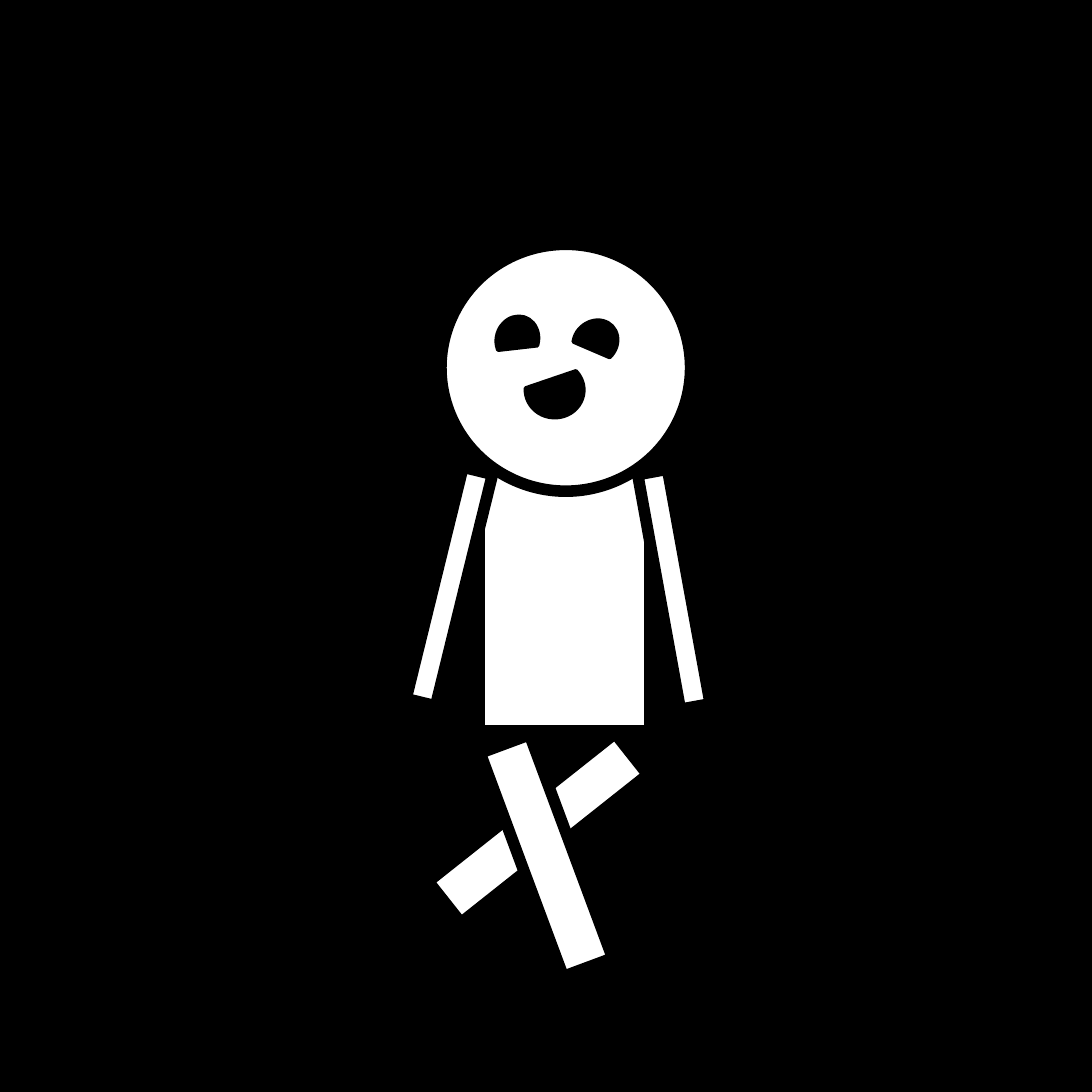
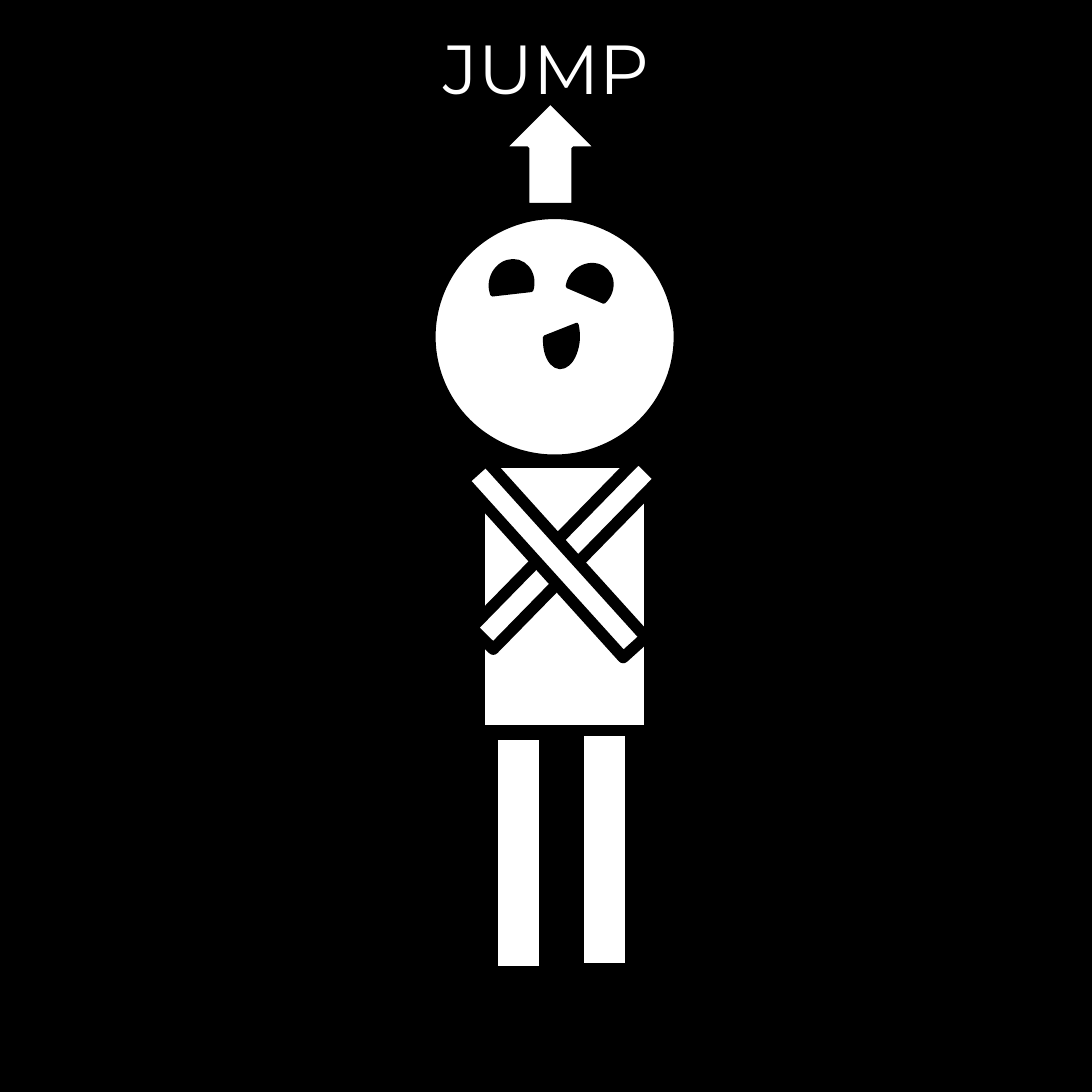
"""Build two slides of a stick figure: standing with crossed legs, then jumping."""
from dataclasses import dataclass

from pptx import Presentation
from pptx.dml.color import RGBColor
from pptx.enum.shapes import MSO_SHAPE
from pptx.enum.text import MSO_AUTO_SIZE
from pptx.slide import Slide
from pptx.util import Pt

RECT = MSO_SHAPE.RECTANGLE
OVAL = MSO_SHAPE.OVAL
CHORD = MSO_SHAPE.CHORD
UP_ARROW = MSO_SHAPE.UP_ARROW
FIT_SHAPE = MSO_AUTO_SIZE.SHAPE_TO_FIT_TEXT

COLORS = {"ink": "000000", "figure": "FFFFFF"}
SIDE = 283.46
LABEL_FORMAT = {
    "name": "Montserrat",
    "size": Pt(18),
}


@dataclass(frozen=True)
class Kind:
    """Look and size shared by parts of one kind."""
    shape: MSO_SHAPE
    width: float
    height: float
    line: float = 1
    fill: str = "figure"


@dataclass(frozen=True)
class Part:
    """One placed part of the figure."""
    kind: Kind
    left: float
    top: float
    rotation: float = 0


BODY = Kind(RECT, 42.5, 67.7)
HEAD = Kind(OVAL, 64.8, 64.1, line=3)
ARM = Kind(RECT, 61.9, 7.9, line=3)
LEG = Kind(RECT, 61.9, 13.7, line=3)
EYE = Kind(CHORD, 12.2, 10.8, fill="ink")
OPEN_MOUTH = Kind(CHORD, 14.4, 15.1, fill="ink")
NARROW_MOUTH = Kind(CHORD, 15.1, 8.6, fill="ink")
ARROW = Kind(UP_ARROW, 23.8, 26.6)

TORSO = Part(BODY, 125.3, 121)
MOUTH_TURN = 273.4


def eyes(left: float, top: float) -> list[Part]:
    """Return a pair of eyes, placed by the left one."""
    return [Part(EYE, left, top, 106.7), Part(EYE, left + 20.2, top + 0.7, 136.4)]


STANDING = [
    TORSO,
    Part(HEAD, 114.5, 63.4),
    *eyes(128.2, 82.8),
    Part(OPEN_MOUTH, 136.8, 93.6, MOUTH_TURN),
    Part(ARM, 85.7, 148.3, 283.8),
    Part(ARM, 144, 149, 259.7),
    Part(LEG, 108.7, 208.1, 141.6),
    Part(LEG, 110.9, 215.3, 69.6),
]
JUMPING = [
    Part(HEAD, 111.6, 55.4),
    TORSO,
    Part(ARM, 115.9, 139.7, 134.4),
    Part(LEG, 126, 213.8, 90),
    Part(LEG, 103.7, 214.6, 90),
    Part(ARM, 113, 141.1, 227.9),
    Part(ARROW, 131, 26.6),
    *eyes(126.7, 68.4),
    Part(NARROW_MOUTH, 138.2, 83.5, MOUTH_TURN),
]


def rgb(name: str) -> RGBColor:
    """Return a named colour."""
    return RGBColor.from_string(COLORS[name])


def draw_part(s: Slide, part: Part) -> None:
    """Draw one part of the figure."""
    kind = part.kind
    sp = s.shapes.add_shape(
        kind.shape, Pt(part.left), Pt(part.top), Pt(kind.width), Pt(kind.height)
    )
    sp.rotation = part.rotation
    sp.shadow.inherit = False
    sp.fill.solid()
    sp.fill.fore_color.rgb = rgb(kind.fill)
    sp.line.color.rgb = rgb("ink")
    sp.line.width = Pt(kind.line)


def add_figure(prs: Presentation, parts: list[Part]) -> Slide:
    """Add a dark slide with a figure made of the given parts."""
    s = prs.slides.add_slide(prs.slide_layouts[6])
    s.background.fill.solid()
    s.background.fill.fore_color.rgb = rgb("ink")
    for part in parts:
        draw_part(s, part)
    return s


def add_label(s: Slide, text: str) -> None:
    """Write the name of the move above the arrow."""
    tf = s.shapes.add_textbox(Pt(108), Pt(2.9), Pt(71.3), Pt(28.8)).text_frame
    tf.word_wrap = False
    tf.auto_size = FIT_SHAPE
    r = tf.paragraphs[0].add_run()
    r.text = text
    for key, value in LABEL_FORMAT.items():
        setattr(r.font, key, value)
    r.font.color.rgb = rgb("figure")


def main() -> None:
    """Build and save the presentation."""
    prs = Presentation()
    prs.slide_width = prs.slide_height = Pt(SIDE)
    add_figure(prs, STANDING)
    add_label(add_figure(prs, JUMPING), "JUMP")
    prs.save("out.pptx")


if __name__ == "__main__":
    main()
